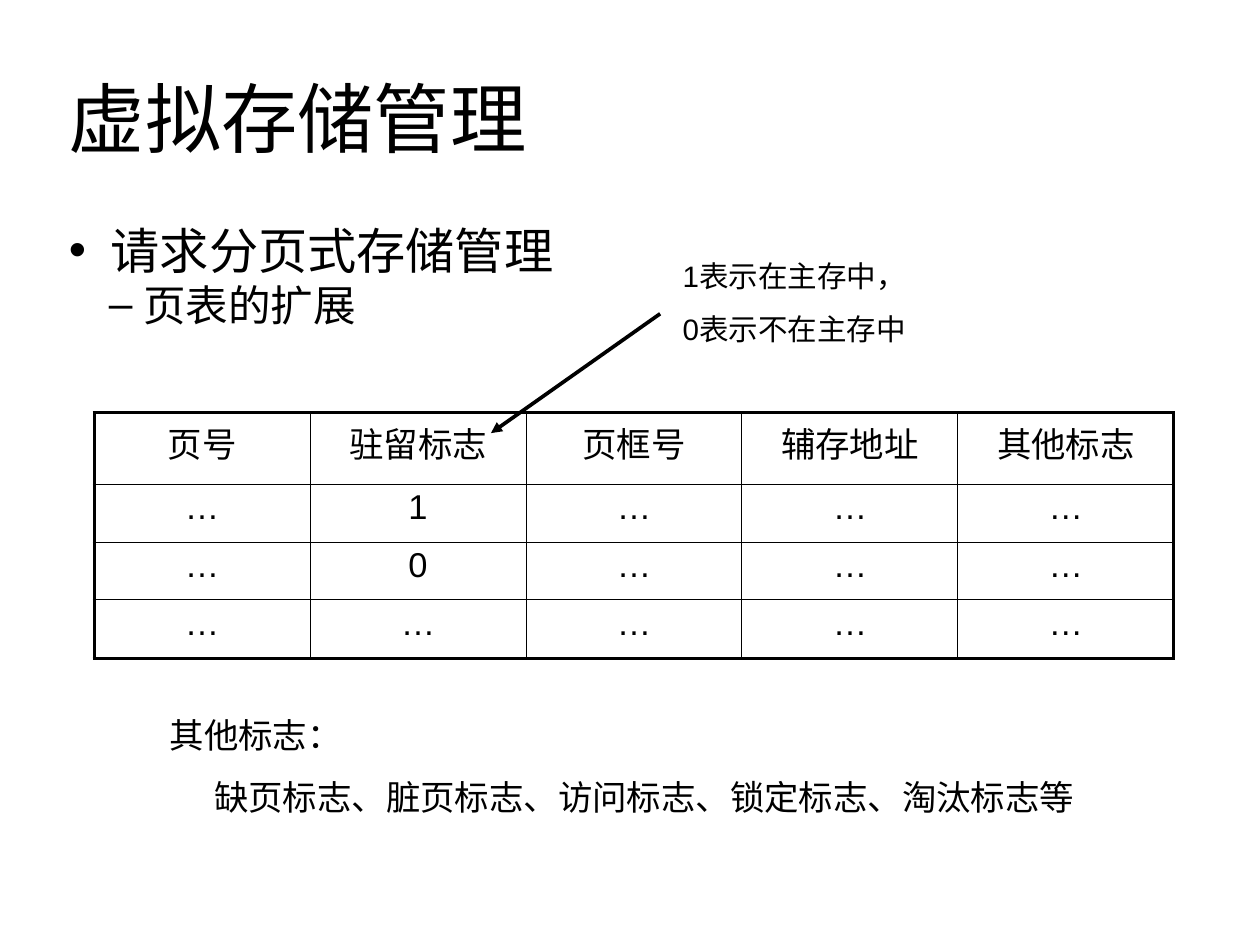
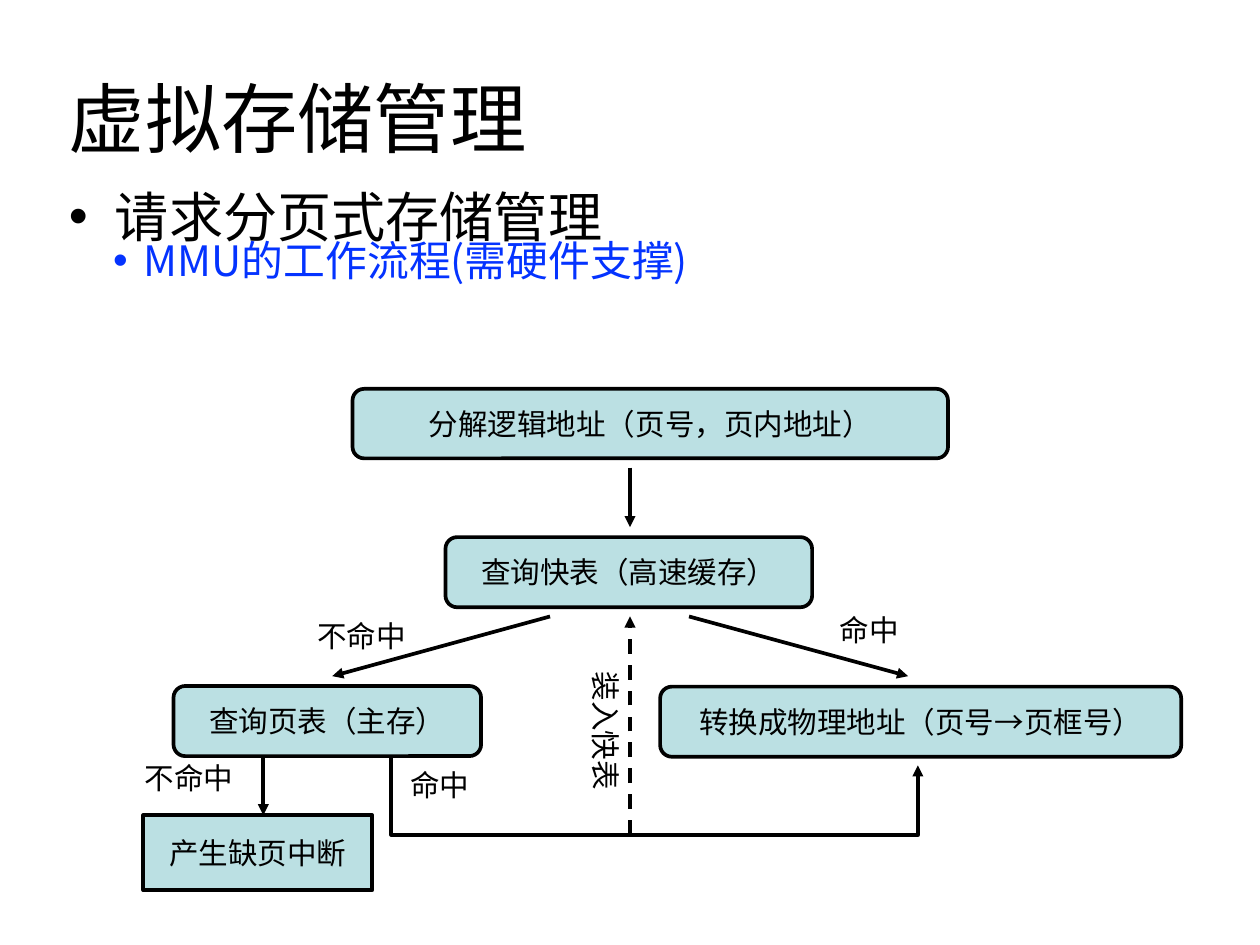
from dataclasses import dataclass

from lxml import etree
from pptx import Presentation
from pptx import util as u
from pptx.dml.color import RGBColor
from pptx.enum import dml, shapes, text
from pptx.oxml import ns

Pt = u.Pt
LEFT, MID = text.PP_ALIGN.LEFT, text.PP_ALIGN.CENTER


@dataclass(frozen=True)
class Theme:
    ink: str = "000000"
    blue: str = "0433FF"
    fill: str = "BBE0E3"
    han: str = "Noto Sans CJK SC"
    latin: str = "Arial"
    title: float = 62
    head: float = 40
    sub: float = 34.6
    flow: float = 44
    topic: float = 34
    body: float = 28
    small: float = 24
    rule: float = 3
    hair: float = 1
    pad: float = 5
    gap: float = 15


@dataclass
class Line:
    text: str
    size: float
    font: str = ""
    color: str = ""
    align: object = LEFT
    before: float = 0
    lead: float = 0
    left: float = 0
    first: float = 0
    mark: str = ""


def node(parent, tag, **attrs):
    return etree.SubElement(parent, ns.qn(tag), attrs)


class Deck:
    def __init__(self, theme):
        self.theme = theme
        self.file = Presentation()
        self.file.slide_width, self.file.slide_height = Pt(1024), Pt(768)
        self.slide = None

    def page(self, title):
        self.slide = self.file.slides.add_slide(self.file.slide_layouts[6])
        self.note(51, 31, 922, 128, [Line(title, self.theme.title)], True)

    def put(self, frame, lines):
        frame.text = "\n".join(line.text for line in lines)
        for para, line in zip(frame.paragraphs, lines):
            para.alignment = line.align
            para.space_before = Pt(line.before)
            if line.lead:
                para.line_spacing = Pt(line.lead)
            prop = para._p.get_or_add_pPr()
            prop.set("marL", str(Pt(line.left)))
            prop.set("indent", str(Pt(line.first)))
            if line.mark:
                node(prop, "a:buFont", typeface=self.theme.latin)
                node(prop, "a:buChar", char=line.mark)
            for run in para.runs:
                font = run.font
                font.size = Pt(line.size)
                font.name = line.font or self.theme.han
                font.color.rgb = RGBColor.from_string(line.color or self.theme.ink)
                node(run._r.get_or_add_rPr(), "a:ea", typeface=self.theme.han)

    def inset(self, item, pad):
        item.margin_left = item.margin_right = Pt(pad)
        item.margin_top = item.margin_bottom = Pt(pad)

    def note(self, x, y, w, h, lines, mid=False, turn=0):
        box = self.slide.shapes.add_textbox(Pt(x), Pt(y), Pt(w), Pt(h))
        box.rotation = turn
        frame = box.text_frame
        frame.word_wrap = True
        self.inset(frame, self.theme.pad)
        if mid:
            frame.vertical_anchor = text.MSO_ANCHOR.MIDDLE
        self.put(frame, lines)

    def label(self, x, y, w, words, turn=0):
        self.note(x, y, w, 43, [Line(words, self.theme.small, align=MID)], turn=turn)

    def stroke(self, item, dash=False, head=False):
        item.line.color.rgb = RGBColor.from_string(self.theme.ink)
        item.line.width = Pt(self.theme.rule)
        if dash:
            item.line.dash_style = dml.MSO_LINE.DASH
        if head:
            node(item.line._get_or_add_ln(), "a:tailEnd", type="triangle")

    def step(self, x, y, w, h, words, soft=True):
        kind = shapes.MSO_SHAPE.ROUNDED_RECTANGLE if soft else shapes.MSO_SHAPE.RECTANGLE
        box = self.slide.shapes.add_shape(kind, Pt(x), Pt(y), Pt(w), Pt(h))
        box.shadow.inherit = False
        box.fill.solid()
        box.fill.fore_color.rgb = RGBColor.from_string(self.theme.fill)
        self.stroke(box)
        frame = box.text_frame
        frame.word_wrap = False
        frame.vertical_anchor = text.MSO_ANCHOR.MIDDLE
        self.inset(frame, self.theme.pad)
        self.put(frame, [Line(words, self.theme.small, align=MID)])

    def arrow(self, x, y, to_x, to_y, dash=False):
        line = self.slide.shapes.add_connector(
            shapes.MSO_CONNECTOR.STRAIGHT, Pt(x), Pt(y), Pt(to_x), Pt(to_y))
        self.stroke(line, dash, True)
        node(line._element.spPr, "a:effectLst")

    def bend(self, start, *points):
        pen = self.slide.shapes.build_freeform(Pt(start[0]), Pt(start[1]))
        pen.add_line_segments([(Pt(x), Pt(y)) for x, y in points], close=False)
        line = pen.convert_to_shape()
        line.shadow.inherit = False
        line.fill.background()
        self.stroke(line, head=True)

    def border(self, cell, sides):
        prop = cell._tc.get_or_add_tcPr()
        for pos, (side, outer) in enumerate(sides.items()):
            width = self.theme.rule if outer else self.theme.hair
            edge = etree.Element(ns.qn("a:ln" + side), w=str(Pt(width)))
            node(node(edge, "a:solidFill"), "a:srgbClr", val=self.theme.ink)
            prop.insert(pos, edge)

    def table(self, x, y, width, highs, rows):
        count = len(rows[0])
        grid = self.slide.shapes.add_table(
            len(rows), count, Pt(x), Pt(y), Pt(width * count), Pt(sum(highs))).table
        grid.first_row = grid.horz_banding = False
        for col in grid.columns:
            col.width = Pt(width)
        for r, (high, row) in enumerate(zip(highs, rows)):
            grid.rows[r].height = Pt(high)
            for c, words in enumerate(row):
                cell = grid.cell(r, c)
                cell.fill.background()
                self.inset(cell, 3.6)
                font = self.theme.latin if r else self.theme.han
                self.put(cell.text_frame,
                         [Line(words, self.theme.body, font, align=MID, before=6)])
                self.border(cell, {"L": c == 0, "R": c == count - 1,
                                   "T": r == 0, "B": r == len(rows) - 1})


def pages(deck):
    look = deck.theme
    deck.page("虚拟存储管理")
    deck.note(51, 174, 912, 116, [
        Line("请求分页式存储管理", look.head, left=34, first=-34, before=9, mark="•"),
        Line("页表的扩展", look.sub, left=60.5, first=-28, lead=41, mark="–")])
    dots = "…"
    deck.table(76.5, 335.5, 175.5, [58, 47, 47, 47.5], [
        ["页号", "驻留标志", "页框号", "辅存地址", "其他标志"],
        [dots, "1", dots, dots, dots],
        [dots, "0", dots, dots, dots],
        [dots] * 5])
    deck.arrow(536.5, 255, 399, 352)
    deck.note(528.5, 205, 234, 92, [
        Line("1表示在主存中，", look.small, look.latin, align=MID, before=look.gap),
        Line("0表示不在主存中", look.small, look.latin, align=MID, before=look.gap, lead=28)])
    deck.note(133, 575, 798, 107, [
        Line("其他标志：", look.body, before=17),
        Line("缺页标志、脏页标志、访问标志、锁定标志、淘汰标志等", look.body,
             before=17, lead=33.5, first=36)])

    deck.page("虚拟存储管理")
    deck.note(51, 144, 922, 120, [
        Line("请求分页式存储管理", look.flow, left=37.5, first=-37.5, before=10, mark="•"),
        Line("MMU的工作流程(需硬件支撑)", look.topic, color=look.blue, left=61, first=-25,
             lead=30, mark="•")])
    for step in [
            (286.5, 316, 484, 56.5, "分解逻辑地址（页号，页内地址）"),
            (362, 436.5, 298, 57, "查询快表（高速缓存）"),
            (141, 557.5, 250, 57, "查询页表（主存）"),
            (536.5, 558, 423.5, 57, "转换成物理地址（页号→页框号）"),
            (116.5, 662.5, 186, 61, "产生缺页中断", False)]:
        deck.step(*step)
    for arrow in [
            (512, 380, 512, 428.5),
            (447, 501, 270, 549.5),
            (560, 501, 738, 549.5),
            (214, 614, 214, 662.5),
            (512, 678.5, 512, 501, True)]:
        deck.arrow(*arrow)
    deck.bend((318, 614), (318, 678.5), (746, 678.5), (746, 622))
    for label in [
            (650, 492, 113, "命中"),
            (229.5, 497, 129, "不命中"),
            (301, 618, 113, "命中"),
            (102, 612.5, 103, "不命中"),
            (422, 572.5, 137, "装入快表", 90)]:
        deck.label(*label)


def main():
    deck = Deck(Theme())
    pages(deck)
    deck.file.save("out.pptx")


if __name__ == "__main__":
    main()
